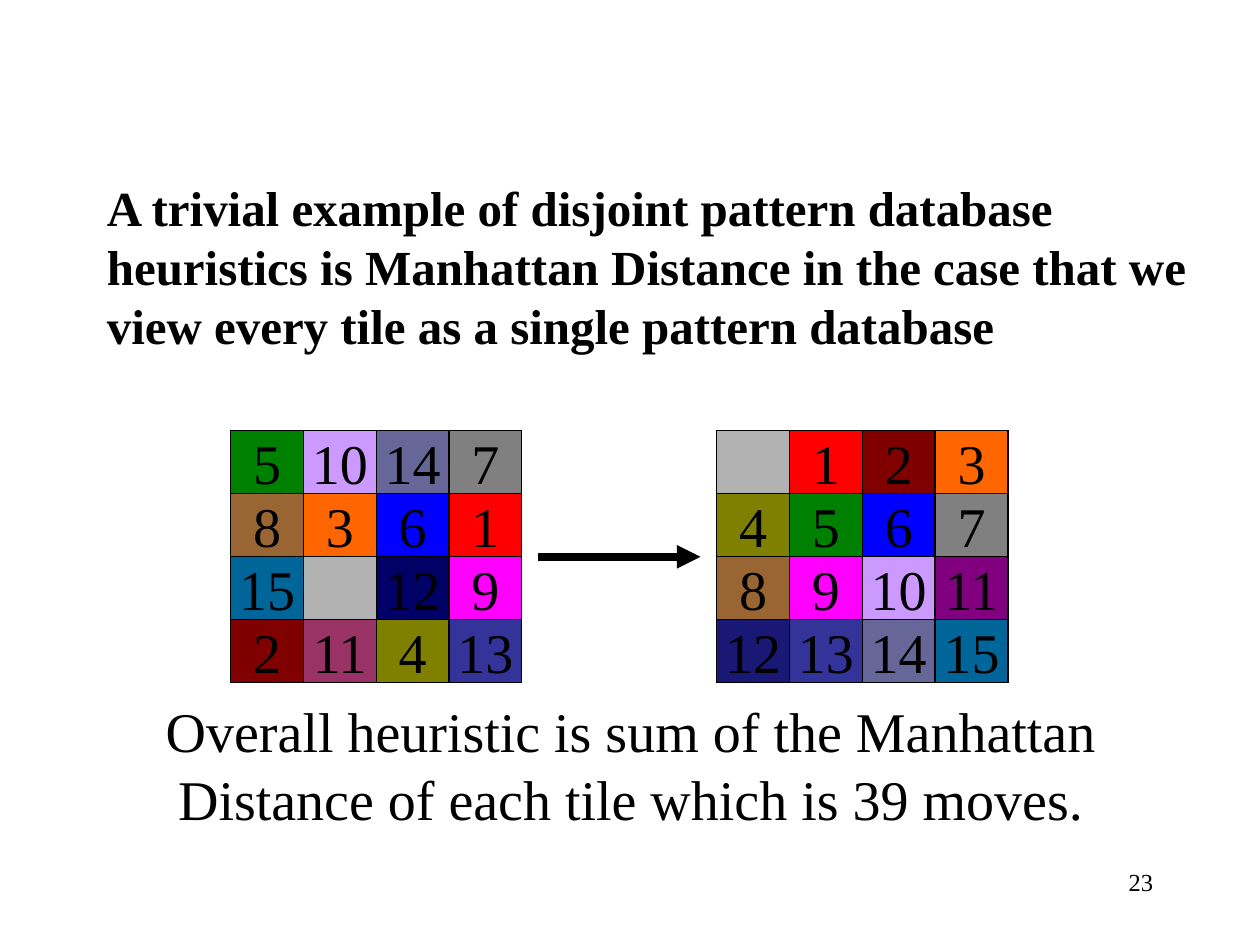
from lxml import etree
from pptx import Presentation
from pptx.dml.color import RGBColor
from pptx.enum.shapes import MSO_CONNECTOR, MSO_SHAPE
from pptx.enum.text import MSO_ANCHOR, MSO_AUTO_SIZE, PP_ALIGN
from pptx.oxml.ns import qn
from pptx.util import Pt

RECT, LINE = MSO_SHAPE.RECTANGLE, MSO_CONNECTOR.STRAIGHT
MIDDLE, TOP = MSO_ANCHOR.MIDDLE, MSO_ANCHOR.TOP
LEFT, CENTER, RIGHT = PP_ALIGN.LEFT, PP_ALIGN.CENTER, PP_ALIGN.RIGHT
GROW = MSO_AUTO_SIZE.SHAPE_TO_FIT_TEXT
FONT = "Times New Roman"
SIDE = 4
INK = "000000"
TILES = {
    0: "B2B2B2", 1: "FF0000", 2: "800000", 3: "FF6600",
    4: "808000", 5: "008000", 6: "0000FF", 7: "808080",
    8: "996633", 9: "FF00FF", 10: "CC99FF", 11: "800080",
    12: "000066", 13: "333399", 14: "666699", 15: "006699",
}
START = [5, 10, 14, 7, 8, 3, 6, 1, 15, 0, 12, 9, 2, 11, 4, 13]
GOAL = range(16)


def put_text(frame, words, size, align, anchor=MIDDLE, bold=False, wrap=True):
    """Fill a text frame with one run and return its paragraph."""
    frame.word_wrap = wrap
    frame.vertical_anchor = anchor
    para = frame.paragraphs[0]
    para.alignment = align
    run = para.add_run()
    run.text = words
    run.font.name, run.font.size, run.font.bold = FONT, Pt(size), bold
    run.font.color.rgb = RGBColor.from_string(INK)
    return para


def add_text(slide, box, words, size, align, **style):
    """Place a text box and return its frame and paragraph."""
    frame = slide.shapes.add_textbox(*map(Pt, box)).text_frame
    return frame, put_text(frame, words, size, align, **style)


def add_line(shapes, ends, width):
    """Draw a plain straight line between two points."""
    line = shapes.add_connector(LINE, *map(Pt, ends))
    line.line.color.rgb = RGBColor.from_string(INK)
    line.line.width = Pt(width)
    etree.SubElement(line._element.spPr, qn("a:effectLst"))
    return line


def add_rect(shapes, box, fill=None):
    """Draw a thinly outlined rectangle, filled if a colour is given."""
    rect = shapes.add_shape(RECT, *map(Pt, box))
    rect.shadow.inherit = False
    rect.line.color.rgb = RGBColor.from_string(INK)
    rect.line.width = Pt(0.75)
    if fill:
        rect.fill.solid()
        rect.fill.fore_color.rgb = RGBColor.from_string(fill)
    else:
        rect.fill.background()
    return rect


def add_board(shapes, box, order, hues):
    """Draw a puzzle board and return its tiles by number."""
    left, top, width, height = box
    wide, high = width / SIDE, height / SIDE
    add_rect(shapes, box)
    for step in range(1, SIDE):
        x, y = left + step * wide, top + step * high
        add_line(shapes, (x, top, x, top + height), 0.75)
        add_line(shapes, (left, y, left + width, y), 0.75)
    tiles = {}
    for spot, num in enumerate(order):
        row, col = divmod(spot, SIDE)
        cell = (left + col * wide, top + row * high, wide, high)
        tiles[num] = add_rect(shapes, cell, hues[num])
        if num:
            put_text(tiles[num].text_frame, str(num), 32, CENTER, wrap=False)
    return tiles


def add_arrow(shapes, ends):
    """Draw the thick arrow between the boards."""
    arrow = add_line(shapes, ends, 4.5)
    etree.SubElement(arrow.line._get_or_add_ln(), qn("a:tailEnd"), type="triangle")


def add_puzzle(slide, box):
    """Group the goal board, the start board and the arrow."""
    left, top, width, height = box
    board = 166.4
    shapes = slide.shapes.add_group_shape().shapes
    far = left + width - board
    goal = add_board(shapes, (far, top, board, height), GOAL, TILES)
    tint = goal[12]._element.spPr.find(qn("a:solidFill"))[0]
    etree.SubElement(tint, qn("a:alpha"), val="90000")
    add_board(shapes, (left, top, board, height), START, TILES | {11: "993366"})
    mid = top + height / 2
    add_arrow(shapes, (left + board + 9.3, mid, far - 9.3, mid))


def main():
    """Build and save the slide."""
    deck = Presentation()
    deck.slide_width, deck.slide_height = Pt(720), Pt(540)
    slide = deck.slides.add_slide(deck.slide_layouts[6])
    add_puzzle(slide, (131.8, 246.2, 444.2, 144))
    frame, para = add_text(
        slide, (48.2, 394.6, 625, 84.2),
        "Overall heuristic is sum of the Manhattan Distance of each tile "
        "which is 39 moves.", 32, CENTER)
    frame.auto_size = GROW
    para.space_before = Pt(20)
    add_text(
        slide, (54, 126, 648, 51.8),
        "A trivial example of disjoint pattern database heuristics is Manhattan "
        "Distance in the case that we view every tile as a single pattern database",
        28, LEFT, bold=True)
    add_text(slide, (516, 492, 150, 36), "23", 14, RIGHT, anchor=TOP)
    deck.save("out.pptx")


if __name__ == "__main__":
    main()
